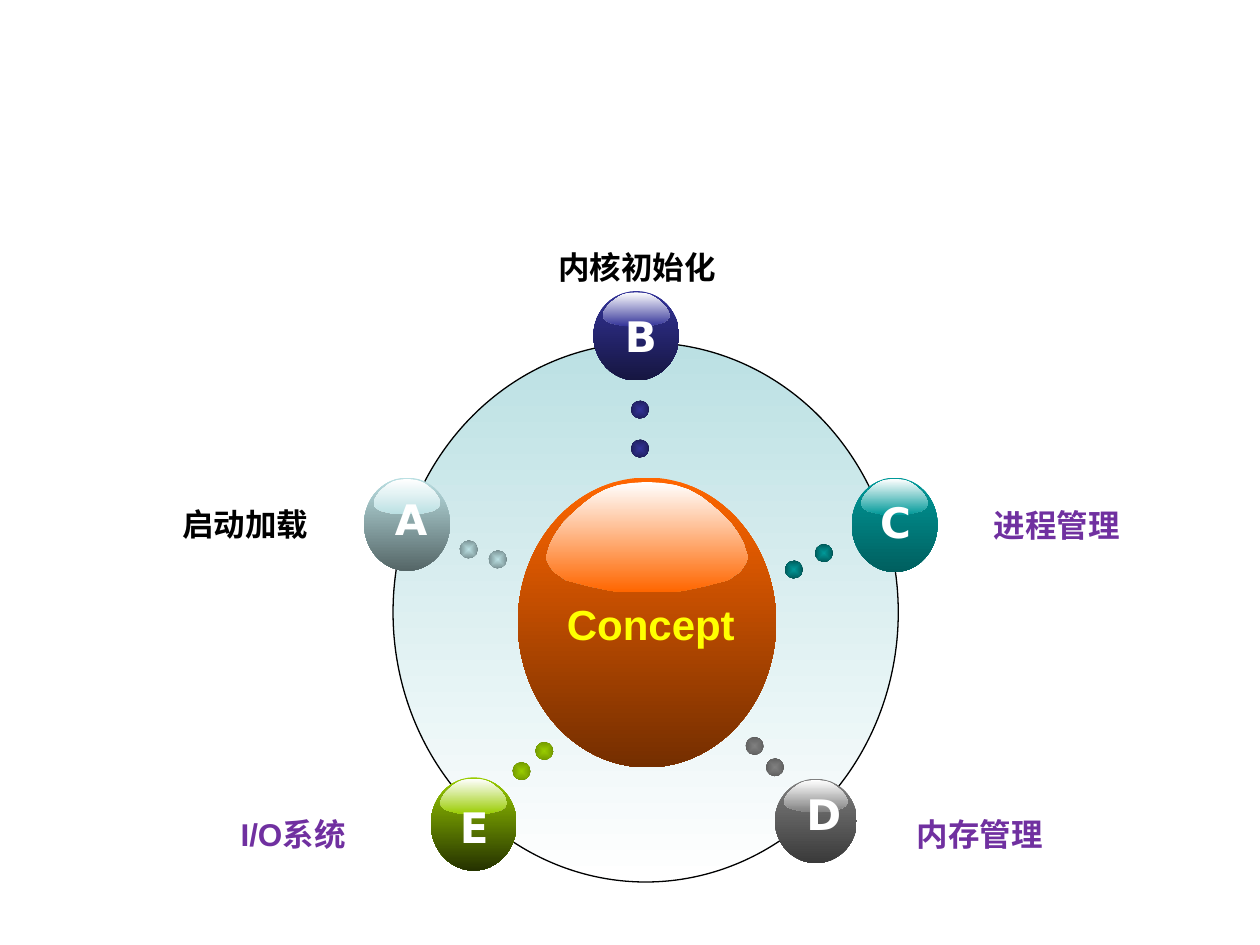
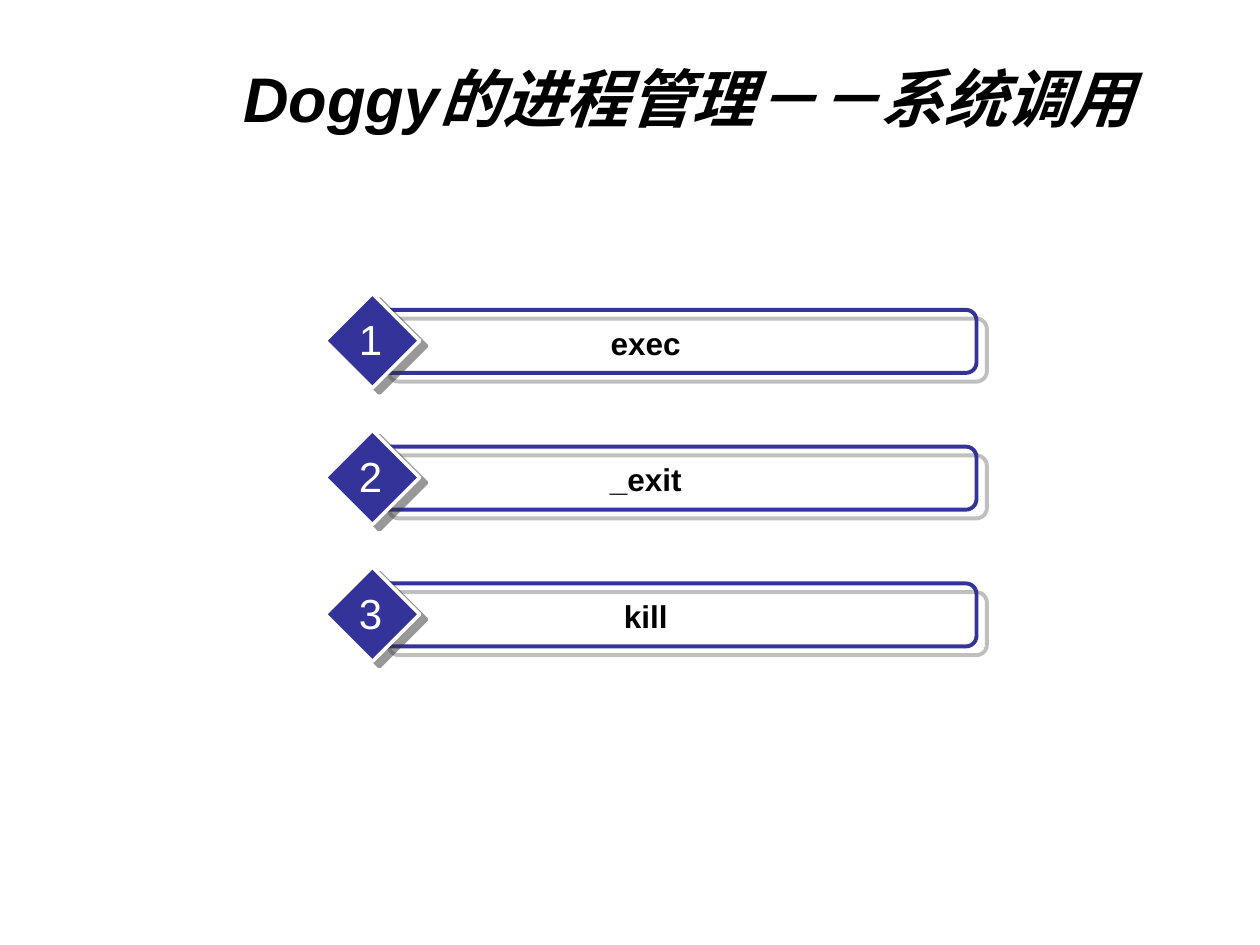
import lxml.etree
import pptx
import pptx.dml.color
import pptx.enum.shapes
import pptx.enum.text
import pptx.oxml.ns
import pptx.util

Pt = pptx.util.Pt
KIND = pptx.enum.shapes.MSO_SHAPE
FIT = pptx.enum.text.MSO_AUTO_SIZE
HUES = {
    "black": "000000", "white": "FFFFFF", "navy": "333399", "purple": "7030A0",
    "yellow": "FFFF00", "orange": "FF6600", "rust": "742E00", "pale": "BBE0E3",
    "slate": "556667", "mist": "647779", "night": "161641", "dusk": "181848",
    "teal": "009999", "pine": "005F5F", "deep": "004444", "gray": "808080",
    "coal": "3A3A3A", "ash": "555555", "lime": "99CC00", "moss": "253200",
    "leaf": "668800", "shade": "333333",
}
ARC = [
    (0, 0), (.15, .01), (.28, .03), (.41, .07), (.53, .13), (.63, .2), (.73, .28),
    (.82, .36), (.9, .46), (.96, .56), (1, .68), (.99, .72), (.96, .77), (.92, .82),
    (.87, .85), (.81, .89), (.73, .91), (.56, .95), (.35, .99), (.2, 1),
]
STEPS = [
    ("A", "启动加载", "black", ("pale", "slate", "mist"), (208.1, 272.9, 49, 53.3),
     (233.6, 278.6), (72, 285.1), [(262.8, 308.9), (279.4, 314.6)]),
    ("B", "内核初始化", "black", ("navy", "night", "dusk"), (339.1, 166.3, 49, 51.1),
     (365, 174.2), (295.9, 138.2), [(360.7, 229), (360.7, 251.3)]),
    ("C", "进程管理", "purple", ("teal", "pine", "deep"), (486.7, 272.9, 49, 54),
     (510.8, 280.1), (535.7, 285.8), [(465.8, 311), (448.6, 320.4)]),
    ("D", "内存管理", "purple", ("gray", "coal", "ash"), (442.8, 445, 46.8, 48.2),
     (468.7, 447.1), (491.8, 462.2), [(437.8, 433.4), (426.2, 421.2)]),
    ("E", "I/O系统", "purple", ("lime", "moss", "leaf"), (246.2, 444.2, 49, 53.3),
     (270.7, 454.3), (99.4, 462.2), [(293, 435.6), (306, 424.1)]),
]
CALLS = ["exec", "_exit", "kill"]


def tint(name):
    """Give the colour of a hue name."""
    return pptx.dml.color.RGBColor.from_string(HUES[name])


def node(base, tag, **attrs):
    """Add a drawing element to a base element."""
    item = lxml.etree.SubElement(base, pptx.oxml.ns.qn(tag))
    for key, val in attrs.items():
        item.set(key, str(val))
    return item


def blend(shape, first, last):
    """Fill a shape with a gradient that runs down."""
    shape.fill.gradient()
    shape.fill.gradient_angle = 270
    for stop, name in zip(shape.fill.gradient_stops, (first, last)):
        stop.color.rgb = tint(name)


def edge(shape, name=None, width=0):
    """Draw or hide the outline and drop the shadow."""
    shape.shadow.inherit = False
    if name:
        shape.line.color.rgb = tint(name)
        shape.line.width = Pt(width)
    else:
        shape.line.fill.background()


def form(slide, kind, box):
    """Add a preset shape at a box in points."""
    return slide.shapes.add_shape(kind, *map(Pt, box))


def cast(shape, name, dist, angle):
    """Give a shape a half clear hard shadow."""
    base = shape._element.spPr.find(pptx.oxml.ns.qn("a:effectLst"))
    drop = node(base, "a:outerShdw", dist=Pt(dist), dir=angle * 60000,
                algn="ctr", rotWithShape=0)
    node(node(drop, "a:srgbClr", val=HUES[name]), "a:alpha", val=50000)


def write(para, text, size, name, font="Arial", bold=True, slant=False):
    """Add a centred run to a paragraph."""
    para.alignment = pptx.enum.text.PP_ALIGN.CENTER
    run = para.add_run()
    run.text = text
    run.font.name = font
    run.font.size = Pt(size)
    run.font.bold = bold
    run.font.italic = slant
    run.font.color.rgb = tint(name)


def label(slide, box, text, size, name, wrap=True, **style):
    """Add a text box with one line."""
    frame = slide.shapes.add_textbox(*map(Pt, box)).text_frame
    frame.word_wrap = wrap
    frame.auto_size = FIT.SHAPE_TO_FIT_TEXT
    write(frame.paragraphs[0], text, size, name, **style)


def oval(slide, box, first, last):
    """Add an ellipse with a gradient."""
    shape = form(slide, KIND.OVAL, box)
    blend(shape, first, last)
    edge(shape)
    return shape


def ball(slide, box, first, last):
    """Add a glossy ball with its highlight."""
    oval(slide, box, first, last)
    left, top, wide, high = box
    mid = left + wide * .5
    half, rise = wide * .39, high * .38
    top += high * .015
    sides = ARC + [(-x, y) for x, y in reversed(ARC[1:])]
    spots = [(Pt(mid + x * half), Pt(top + y * rise)) for x, y in sides]
    pen = slide.shapes.build_freeform(*spots[0])
    pen.add_line_segments(spots[1:], close=True)
    gloss = pen.convert_to_shape()
    blend(gloss, "white", first)
    edge(gloss)


def dot(slide, spot, first, last):
    """Add a small dot shaded from its centre."""
    shape = oval(slide, (*spot, 10.1, 10.1), first, last)
    shape.rotation = 303.8
    grad = shape._element.spPr.find(pptx.oxml.ns.qn("a:gradFill"))
    grad.remove(grad.find(pptx.oxml.ns.qn("a:lin")))
    core = node(grad, "a:path", path="rect")
    node(core, "a:fillToRect", l=50000, t=50000, r=50000, b=50000)


def wheel(deck):
    """Build the slide with the concept wheel."""
    slide = deck.slides.add_slide(deck.slide_layouts[6])
    ring = form(slide, KIND.OVAL, (224.6, 195.8, 288.7, 308.2))
    blend(ring, "pale", "white")
    edge(ring, "black", .75)
    ball(slide, (295.9, 272.9, 147.6, 165.6), "orange", "rust")
    label(slide, (316.8, 338.4, 110.2, 36), "Concept", 24, "yellow", wrap=False)
    for mark, text, name, hues, box, spot, place, dots in STEPS:
        light, dark, dim = hues
        ball(slide, box, light, dark)
        label(slide, (spot[0] - 15, spot[1], 30, 36), mark, 24, "white",
              wrap=False, font="DejaVu Sans")
        for point in dots:
            dot(slide, point, light, dim)
        label(slide, (*place, 136.1, 28.8), text, 18, name)


def head(slide, text):
    """Place and style the slide title."""
    title = slide.shapes.title
    title.left, title.top, title.width, title.height = map(Pt, (90, 21.6, 606.2, 68.4))
    frame = title.text_frame
    frame.auto_size = FIT.NONE
    frame.vertical_anchor = pptx.enum.text.MSO_ANCHOR.MIDDLE
    write(frame.paragraphs[0], text, 36, "black", slant=True)


def row(slide, top, mark, text):
    """Add a numbered bar."""
    bar = form(slide, KIND.ROUNDED_RECTANGLE, (216, top, 342, 36))
    bar.fill.background()
    edge(bar, "navy", 2.25)
    cast(bar, "gray", 7.8, 40)
    gem = form(slide, KIND.DIAMOND, (185.8, top - 9.4, 54, 54))
    gem.fill.solid()
    gem.fill.fore_color.rgb = tint("navy")
    edge(gem, "white", 2)
    cast(gem, "shade", 5, 37)
    label(slide, (234, top + 4.3, 270, 28.8), text, 18, "black")
    label(slide, (198, top - 1.4, 27.4, 36), mark, 24, "white", wrap=False, bold=False)


def calls(deck):
    """Build the slide that lists the system calls."""
    slide = deck.slides.add_slide(deck.slide_layouts[5])
    head(slide, "Doggy的进程管理－－系统调用")
    for index, text in enumerate(CALLS):
        row(slide, 177.1 + 78.15 * index, str(index + 1), text)


def main():
    """Build and save the deck."""
    deck = pptx.Presentation()
    deck.slide_width, deck.slide_height = Pt(720), Pt(540)
    wheel(deck)
    calls(deck)
    deck.save("out.pptx")


if __name__ == "__main__":
    main()
